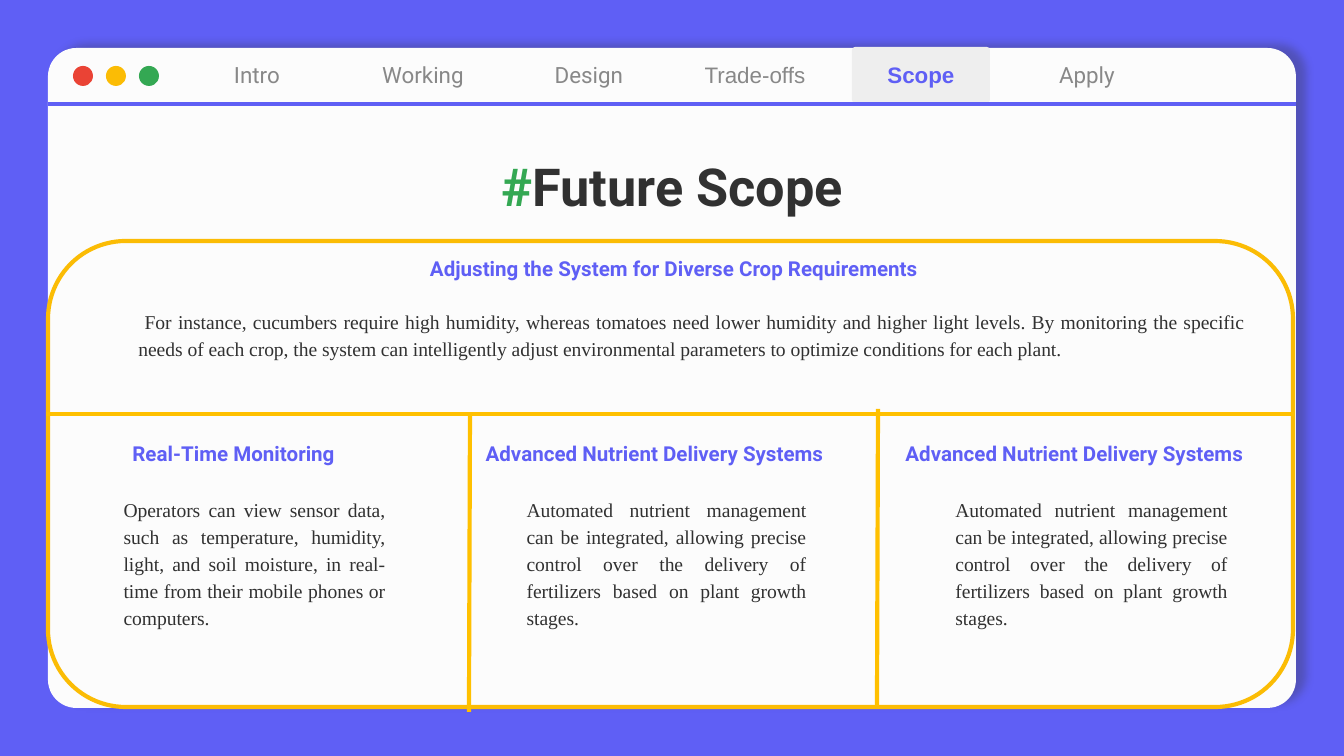
from lxml import etree
from pptx import Presentation
from pptx import util as u
from pptx.dml.color import RGBColor
from pptx.enum import shapes, text
from pptx.oxml.ns import qn

PX = 914400 / 134.4  # EMU per px
COLORS = {
    "violet": "5F5FF5", "paper": "FCFCFC", "ink": "313131", "grey": "888888",
    "tab": "EEEEEE", "red": "EA4335", "amber": "FBBC05", "green": "34A853",
    "gold": "FFC000",
}
SHAPE = shapes.MSO_SHAPE
ALIGN = text.PP_ALIGN
ANCHOR = text.MSO_ANCHOR


def px(n):
    return u.Emu(round(n * PX))


def rgb(name):
    return RGBColor.from_string(COLORS[name])


class Deck:
    def __init__(self, width, height):
        self.prs = Presentation()
        self.prs.slide_width, self.prs.slide_height = px(width), px(height)
        self.s = self.prs.slides.add_slide(self.prs.slide_layouts[4])
        fill = self.s.background.fill
        fill.solid()
        fill.fore_color.rgb = rgb("violet")

    def shape(self, kind, box, fill=None, line=None, adj=None):
        sp = self.s.shapes.add_shape(kind, *map(px, box))
        sp.shadow.inherit = False
        if fill:
            sp.fill.solid()
            sp.fill.fore_color.rgb = rgb(fill)
        else:
            sp.fill.background()
        if line:
            sp.line.color.rgb = rgb(line)
            sp.line.width = u.Pt(2.25)
        else:
            sp.line.fill.background()
        if adj is not None:
            sp.adjustments[0] = adj
        return sp

    def drop_shadow(self, sp, color):
        effects = sp.element.spPr.find(qn("a:effectLst"))
        shadow = etree.SubElement(effects, qn("a:outerShdw"), blurRad="57150",
                                  dist="76200", dir="20520000", algn="bl",
                                  rotWithShape="0")
        clr = etree.SubElement(shadow, qn("a:srgbClr"), val=COLORS[color])
        etree.SubElement(clr, qn("a:alpha"), val="30000")

    def line(self, x1, y1, x2, y2, color):
        c = self.s.shapes.add_connector(shapes.MSO_CONNECTOR.STRAIGHT,
                                        *map(px, (x1, y1, x2, y2)))
        c.line.color.rgb = rgb(color)
        c.line.width = u.Pt(2.25)
        etree.SubElement(c.element.spPr, qn("a:effectLst"))

    def add_text(self, sp, runs, size, font, align, anchor, bold=False,
                 inset=0.1, indent=0, spacing=1.0):
        tf = sp.text_frame
        tf.word_wrap = True
        tf.auto_size = text.MSO_AUTO_SIZE.NONE
        tf.vertical_anchor = anchor
        tf.margin_left = tf.margin_right = u.Inches(inset)
        tf.margin_top = tf.margin_bottom = u.Inches(inset)
        p = tf.paragraphs[0]
        p.alignment, p.line_spacing = align, spacing
        p.space_before = p.space_after = u.Pt(0)
        pPr = p._p.get_or_add_pPr()
        pPr.set("marL", str(u.Inches(indent)))
        pPr.set("indent", "0")
        etree.SubElement(pPr, qn("a:buNone"))
        for words, color in runs:
            r = p.add_run()
            r.text = words
            r.font.name, r.font.size, r.font.bold = font, u.Pt(size), bold
            r.font.color.rgb = rgb(color)

    def frame(self, box, idx=None):
        """A placeholder brought to the front, or a new text box."""
        if idx is None:
            return self.s.shapes.add_textbox(*map(px, box))
        sp = next(ph for ph in self.s.placeholders
                  if ph.placeholder_format.idx == idx)
        sp.left, sp.top, sp.width, sp.height = map(px, box)
        sp.element.getparent().append(sp.element)
        return sp

    def title(self, box, runs):
        self.add_text(self.frame(box, 0), runs, 28, "Roboto", ALIGN.CENTER,
                      ANCHOR.BOTTOM, bold=True, spacing=0.8)

    def heading(self, box, words, align, idx=None):
        self.add_text(self.frame(box, idx), [(words, "violet")], 11, "Roboto",
                      align, ANCHOR.BOTTOM, bold=True, indent=0.15)

    def body(self, box, words, idx=None):
        self.add_text(self.frame(box, idx), [(words, "ink")], 10.5,
                      "Times New Roman", ALIGN.JUSTIFY, ANCHOR.TOP,
                      indent=0.15, spacing=1.15)

    def tab(self, box, words, font, active):
        sp = self.shape(SHAPE.ROUNDED_RECTANGLE, box,
                        fill="tab" if active else None, adj=0.06)
        self.add_text(sp, [(words, "violet" if active else "grey")], 12, font,
                      ALIGN.CENTER, ANCHOR.MIDDLE, bold=active, inset=0)


def main():
    d = Deck(1344, 756)

    # Browser window
    window = d.shape(SHAPE.ROUNDED_RECTANGLE, (48, 48, 1248, 660),
                     fill="paper", adj=0.043)
    d.drop_shadow(window, "ink")

    # Tabs and window buttons
    tabs = [("Intro", "Roboto"), ("Working", "Roboto"), ("Design", "Roboto"),
            ("Trade-offs", "Arial"), ("Scope", "Arial"), ("Apply", "Roboto")]
    for i, (words, font) in enumerate(tabs):
        d.tab((188 + 166 * i, 47, 138, 56), words, font, words == "Scope")
    for i, color in enumerate(("red", "amber", "green")):
        d.shape(SHAPE.OVAL, (73 + 33 * i, 66, 20, 20), fill=color)
    d.line(48, 104, 1296, 104, "violet")

    # Title and lead topic
    d.title((105, 142, 1134, 88), [("#", "green"), ("Future Scope", "ink")])
    d.heading((105, 230, 1118, 64),
              "Adjusting the System for Diverse Crop Requirements", ALIGN.CENTER)
    d.body((105, 293, 1154, 144),
           " For instance, cucumbers require high humidity, whereas tomatoes "
           "need lower humidity and higher light levels. By monitoring the "
           "specific needs of each crop, the system can intelligently adjust "
           "environmental parameters to optimize conditions for each plant.")

    # Three columns: topic, heading left, text left and width, placeholders
    nutrients = ("Advanced Nutrient Delivery Systems", ALIGN.LEFT,
                 "Automated nutrient management can be integrated, allowing "
                 "precise control over the delivery of fertilizers based on "
                 "plant growth stages.")
    monitoring = ("Real-Time Monitoring", ALIGN.CENTER,
                  "Operators can view sensor data, such as temperature, "
                  "humidity, light, and soil moisture, in real-time from their "
                  "mobile phones or computers.")
    columns = [(monitoring, 4, 90, 309, 1, 2),
               (nutrients, 452, 493, 327, 3, 4),
               (nutrients, 872, 922, 319, None, None)]
    for (head, align, words), head_x, body_x, width, head_idx, body_idx in columns:
        d.heading((head_x, 421, 439, 58), head, align, head_idx)
        d.body((body_x, 481, width, 196), words, body_idx)

    # Frame and dividers
    d.shape(SHAPE.ROUNDED_RECTANGLE, (48, 241, 1245, 466),
            line="amber", adj=0.167)
    d.line(46, 414, 1294, 414, "gold")
    d.line(470, 415, 469, 712, "gold")
    d.line(878, 409, 877, 706, "gold")

    d.prs.save("out.pptx")


if __name__ == "__main__":
    main()
